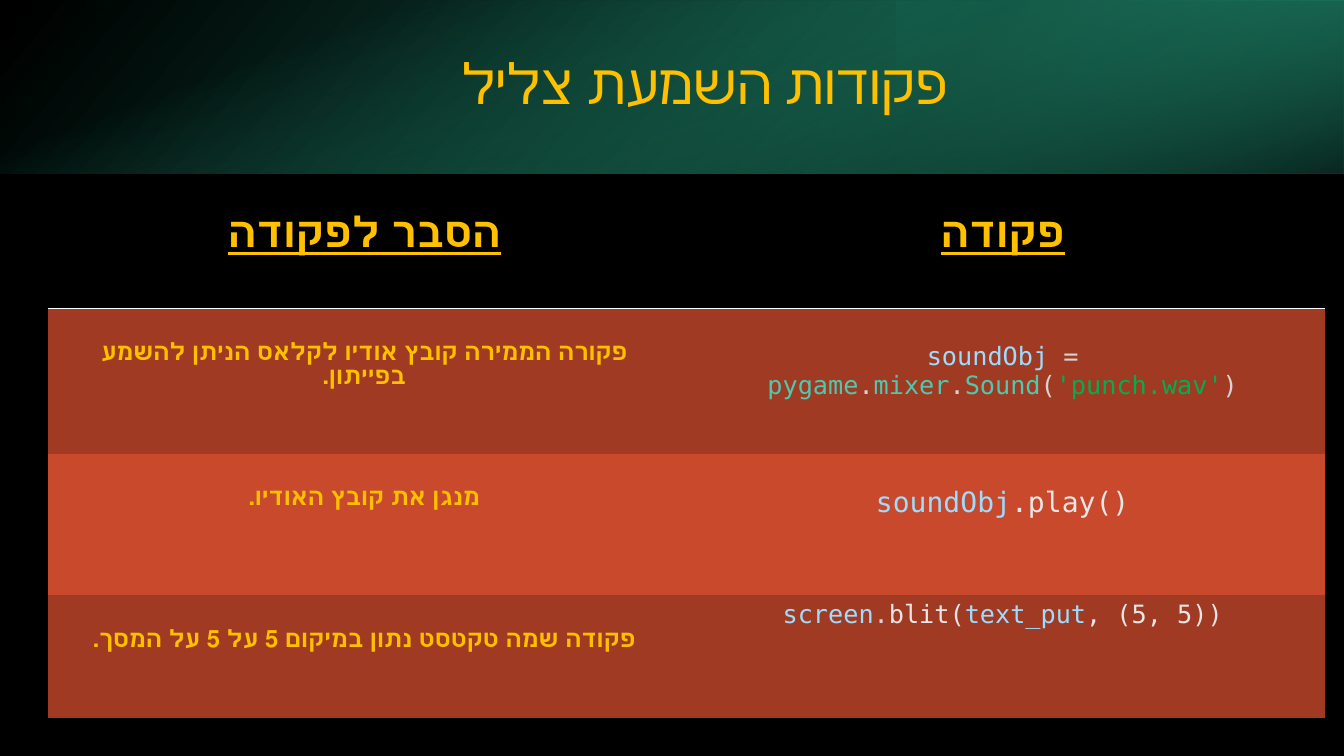
from dataclasses import dataclass

from lxml.etree import SubElement
from pptx import Presentation
from pptx.dml.color import RGBColor
from pptx.enum.shapes import MSO_SHAPE
from pptx.enum.text import MSO_ANCHOR, PP_ALIGN
from pptx.oxml import parse_xml
from pptx.oxml.ns import nsdecls, qn
from pptx.slide import Slide
from pptx.table import _Cell
from pptx.text.text import TextFrame
from pptx.util import Inches, Pt


@dataclass(frozen=True)
class Theme:
    black: str = "000000"
    white: str = "FFFFFF"
    gold: str = "FFC000"
    rust: str = "A13A23"
    brick: str = "C9492C"
    sky: str = "9CDCFE"
    gray: str = "D4D4D4"
    pale: str = "E7E6E6"
    teal: str = "4EC9B0"
    green: str = "00B050"
    pine: str = "1F8369"
    moss: str = "155746"
    mint: str = "29AF8C"
    sans: str = "Calibri"
    mono: str = "DejaVu Sans Mono"
    title: int = 40
    head: int = 30
    body: int = 17
    code: int = 18
    large: int = 20


@dataclass(frozen=True)
class Stop:
    place: float
    color: str
    alpha: int


@dataclass(frozen=True)
class Band:
    box: tuple[float, float, float, float]
    stops: tuple[Stop, Stop]
    angle: int
    turn: int = 0
    flip: bool = False


@dataclass(frozen=True)
class Row:
    note: str
    code: tuple[tuple[str, str], ...]
    height: float
    fill: str
    size: int
    top: float


T = Theme()
GAP = 0.33
EDGE = 0.05
NO_STYLE = "{2D5ABB26-0587-4C30-8999-92F81FD0307C}"

BANDS = (
    Band((0, 0, 13.33, 1.72),
         (Stop(0, T.black, 96), Stop(1, T.pine, 100)), 140, flip=True),
    Band((8.89, 0, 4.44, 1.72),
         (Stop(0.19, T.moss, 68), Stop(1, T.mint, 79)), 320, 180, True),
    Band((5.8, -5.8, 1.72, 13.33),
         (Stop(0.23, T.mint, 0), Stop(0.99, T.black, 74)), 340, 90),
)

ROWS = (
    Row("פקורה הממירה קובץ אודיו לקלאס הניתן להשמע בפייתון.",
        (("soundObj", T.sky), (" = ", T.gray), ("pygame", T.teal),
         (".", T.gray), ("mixer", T.teal), (".", T.gray),
         ("Sound", T.teal), ("(", T.gray), ("'punch.wav'", T.green),
         (")", T.gray)),
        1.44, T.rust, T.code, GAP),
    Row("מנגן את קובץ האודיו.",
        (("soundObj", T.sky), (".play()", T.pale)),
        1.4, T.brick, T.large, GAP),
    Row("פקודה שמה טקטסט נתון במיקום 5 על 5 על המסך.",
        (("screen", T.sky), (".", T.gray), ("blit(", T.pale),
         ("text_put", T.sky), (", (5, 5))", T.pale)),
        1.22, T.rust, T.code, EDGE),
)


def write(frame: TextFrame, parts: tuple[tuple[str, str], ...], *, size: int,
          face: str = T.sans, bold: bool = False, line: bool = False,
          rtl: bool = True, space: float | None = None) -> None:
    frame.word_wrap = True
    para = frame.paragraphs[0]
    para.alignment = PP_ALIGN.CENTER
    para.line_spacing = space
    if rtl:
        para._p.get_or_add_pPr().set("rtl", "1")
    for text, color in parts:
        run = para.add_run()
        run.text = text
        font = run.font
        font.size, font.name = Pt(size), face
        font.bold, font.underline = bold, line
        font.color.rgb = RGBColor.from_string(color)


def shade(slide: Slide, band: Band) -> None:
    shape = slide.shapes.add_shape(MSO_SHAPE.RECTANGLE, *map(Inches, band.box))
    shape.shadow.inherit = False
    shape.line.fill.background()
    shape.rotation = band.turn
    if band.flip:
        shape.element.spPr.find(qn("a:xfrm")).set("flipH", "1")
    shape.fill.gradient()
    shape.fill.gradient_angle = 360 - band.angle
    for mark, stop in zip(shape.fill.gradient_stops, band.stops):
        mark.color.rgb = RGBColor.from_string(stop.color)
        mark.position = stop.place
    tints = shape.element.spPr.iter(qn("a:srgbClr"))
    for tint, stop in zip(tints, band.stops):
        SubElement(tint, qn("a:alpha"), val=str(stop.alpha * 1000))


def paint(cell: _Cell, color: str, top: float = GAP) -> None:
    cell.fill.solid()
    cell.fill.fore_color.rgb = RGBColor.from_string(color)
    cell.margin_left = cell.margin_right = Inches(0.09)
    cell.margin_top, cell.margin_bottom = Inches(top), Inches(EDGE)


def rule(cell: _Cell) -> None:
    cell._tc.get_or_add_tcPr().insert(0, parse_xml(
        f'<a:lnB {nsdecls("a")} w="{Pt(1.5)}"><a:solidFill>'
        f'<a:srgbClr val="{T.white}"/></a:solidFill></a:lnB>'))


def grid(slide: Slide) -> None:
    frame = slide.shapes.add_table(
        len(ROWS) + 1, 2, *map(Inches, (0.48, 1.79, 12.66, 5.33)))
    table = frame.table
    table.first_row = table.horz_banding = False
    frame.element.find(".//" + qn("a:tableStyleId")).text = NO_STYLE
    for col, width in zip(table.columns, (6.27, 6.39)):
        col.width = Inches(width)
    table.rows[0].height = Inches(1.27)
    for cell, text in zip(table.rows[0].cells, ("הסבר לפקודה", "פקודה")):
        paint(cell, T.black)
        rule(cell)
        write(cell.text_frame, ((text, T.gold),), size=T.head,
              bold=True, line=True)
    for index, row in enumerate(ROWS, 1):
        table.rows[index].height = Inches(row.height)
        note, code = table.rows[index].cells
        paint(note, row.fill)
        write(note.text_frame, ((row.note, T.gold),), size=T.body, bold=True)
        paint(code, row.fill, row.top)
        write(code.text_frame, row.code, size=row.size, face=T.mono, rtl=False)


def main() -> None:
    deck = Presentation()
    deck.slide_width, deck.slide_height = Inches(13.33), Inches(7.5)
    slide = deck.slides.add_slide(deck.slide_layouts[6])
    slide.background.fill.solid()
    slide.background.fill.fore_color.rgb = RGBColor.from_string(T.black)
    for band in BANDS:
        shade(slide, band)
    title = slide.shapes.add_textbox(*map(Inches, (1.5, 0.38, 10.98, 0.96)))
    title.text_frame.vertical_anchor = MSO_ANCHOR.MIDDLE
    write(title.text_frame, (("פקודות השמעת צליל", T.gold),),
          size=T.title, space=0.9)
    grid(slide)
    deck.save("out.pptx")


if __name__ == "__main__":
    main()
